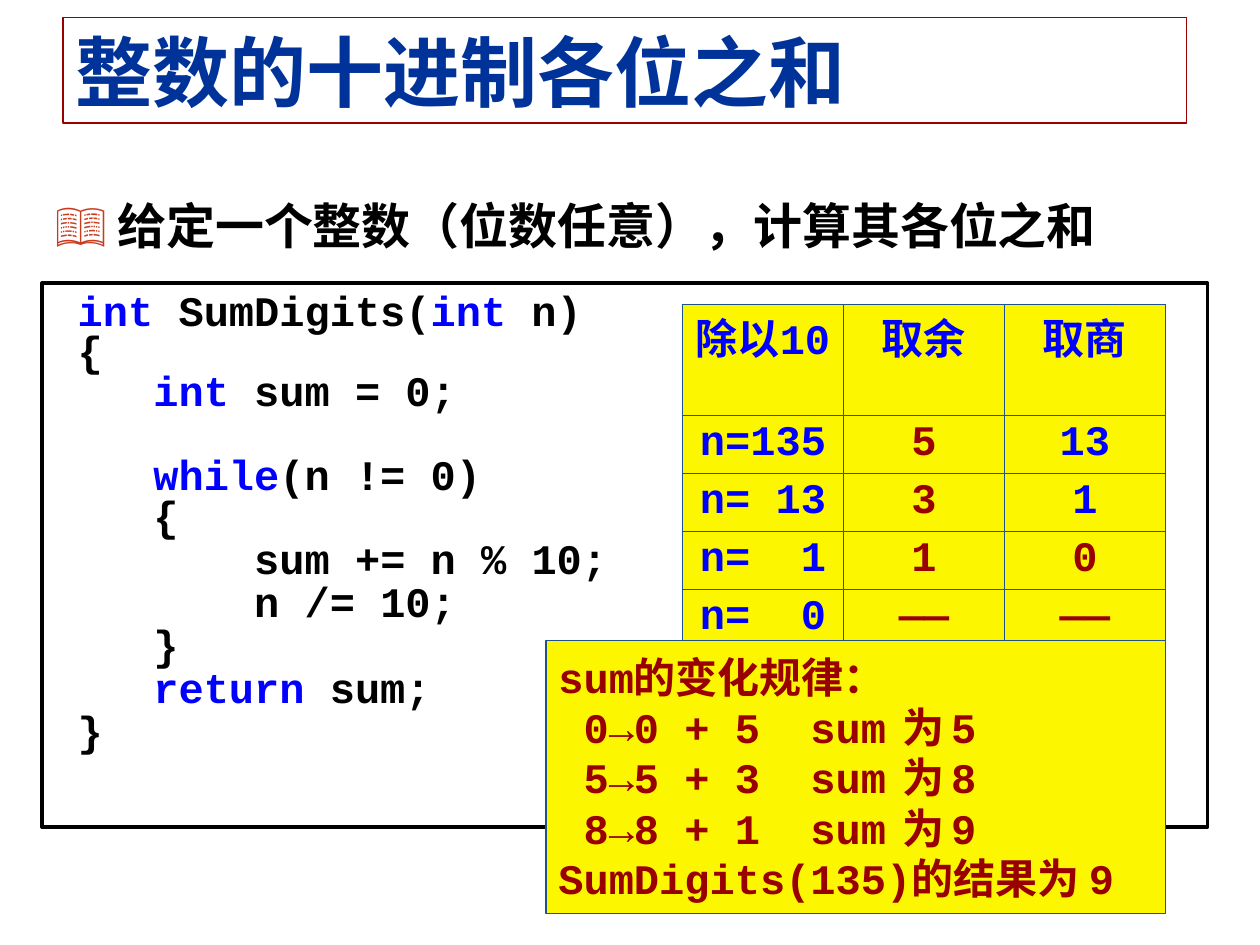
from lxml import etree
from pptx import Presentation
from pptx.dml.color import RGBColor
from pptx.enum import shapes, text
from pptx.oxml import ns
from pptx.util import Pt

NAVY = RGBColor(0x00, 0x33, 0x99)
BLUE = RGBColor(0x00, 0x00, 0xFF)
RED = RGBColor(0x99, 0x00, 0x00)
BLACK = RGBColor(0x00, 0x00, 0x00)
WHITE = RGBColor(0xFF, 0xFF, 0xFF)
GOLD = RGBColor(0xFC, 0xF6, 0x00)
EDGE = RGBColor(0x1D, 0x52, 0x8D)
FONT = "Courier New"

HEAD = "整数的十进制各位之和"
TASK = "给定一个整数（位数任意），计算其各位之和"
CODE = [
    (0, [(" int", BLUE), (" SumDigits(", BLACK), ("int", BLUE), (" n)", BLACK)]),
    (0, [(" {", BLACK)]),
    (0, [("    int", BLUE), (" sum = 0;", BLACK)]),
    (25, [("    while", BLUE), ("(n != 0)", BLACK)]),
    (0, [("    {", BLACK)]),
    (1.5, [("        sum += n % 10;", BLACK)]),
    (1.5, [("        n /= 10;", BLACK)]),
    (1.5, [("    }", BLACK)]),
    (1.5, [("    return", BLUE), (" sum;", BLACK)]),
    (1.5, [(" }", BLACK)]),
]
GRID = [
    ("除以10", "取余", "取商"),
    ("n=135", "5", "13"),
    ("n= 13", "3", "1"),
    ("n=  1", "1", "0"),
    ("n=  0", "——", "——"),
]
REDS = {(1, 1), (2, 1), (3, 1), (3, 2), (4, 1), (4, 2)}
STEPS = [(" 0→0 + 5\tsum", "5"), (" 5→5 + 3\tsum", "8"), (" 8→8 + 1\tsum", "9")]
NOTES = [
    [("sum的变化规律：", 24)],
    *[[(step, 24), (" ", 16), ("为", 24), (" ", 16), (total, 24)]
      for step, total in STEPS],
    [("SumDigits(135)的结果为 9", 24)],
]


def add_run(para, words, size, color):
    run = para.add_run()
    run.text = words
    font = run.font
    font.name, font.size, font.bold = FONT, Pt(size), True
    font.color.rgb = color


def place(shape, left, top, width, height):
    shape.left, shape.top = Pt(left), Pt(top)
    shape.width, shape.height = Pt(width), Pt(height)


def set_pad(frame, left, top, right, bottom):
    frame.margin_left, frame.margin_top = Pt(left), Pt(top)
    frame.margin_right, frame.margin_bottom = Pt(right), Pt(bottom)


def add_box(slide, area, fill, edge, width):
    box = slide.shapes.add_shape(shapes.MSO_SHAPE.RECTANGLE, *map(Pt, area))
    box.shadow.inherit = False
    box.fill.solid()
    box.fill.fore_color.rgb = fill
    box.line.color.rgb = edge
    box.line.width = Pt(width)
    box.text_frame.word_wrap = True
    return box.text_frame


def add_lines(frame, count):
    paras = [frame.paragraphs[0]]
    paras += [frame.add_paragraph() for _ in range(count - 1)]
    for para in paras:
        para.alignment = text.PP_ALIGN.LEFT
    return paras


def add_edge(cell, side, width):
    props = cell._tc.get_or_add_tcPr()
    line = etree.SubElement(props, ns.qn("a:" + side), w=str(Pt(width)))
    fill = etree.SubElement(line, ns.qn("a:solidFill"))
    etree.SubElement(fill, ns.qn("a:srgbClr"), val=str(EDGE))


def add_title(slide):
    title = slide.shapes.title
    place(title, 36, 10, 642, 60.5)
    title.line.color.rgb = RED
    title.line.width = Pt(1)
    frame = title.text_frame
    frame.auto_size = text.MSO_AUTO_SIZE.NONE
    frame.vertical_anchor = text.MSO_ANCHOR.MIDDLE
    para = add_lines(frame, 1)[0]
    add_run(para, HEAD, 44, NAVY)


def add_task(slide):
    body = slide.placeholders[1]
    place(body, 30, 108, 678, 420)
    frame = body.text_frame
    frame.auto_size = text.MSO_AUTO_SIZE.NONE
    set_pad(frame, 1.5, 3.6, 7.2, 3.6)
    para = add_lines(frame, 1)[0]
    props = para._p.get_or_add_pPr()
    props.set("marL", str(Pt(35.5)))
    props.set("indent", str(-Pt(35.5)))
    tint = etree.SubElement(props, ns.qn("a:buClr"))
    etree.SubElement(tint, ns.qn("a:srgbClr"), val="CA3B1E")
    etree.SubElement(props, ns.qn("a:buChar"), char="📖")
    para.space_before = Pt(0)
    add_run(para, TASK, 28, BLACK)


def add_code(slide):
    frame = add_box(slide, (24, 162, 666, 310.5), WHITE, BLACK, 2.25)
    frame.vertical_anchor = text.MSO_ANCHOR.TOP
    set_pad(frame, 6, 6, 6, 6)
    for para, (gap, parts) in zip(add_lines(frame, len(CODE)), CODE):
        para.line_spacing = 0.8
        if gap:
            para.space_before = Pt(gap)
        for words, color in parts:
            add_run(para, words, 24, color)


def add_grid(slide):
    rows, cols = len(GRID), len(GRID[0])
    area = map(Pt, (390, 174, 276, 192))
    table = slide.shapes.add_table(rows, cols, *area).table
    for col in table.columns:
        col.width = Pt(92)
    for i, row in enumerate(table.rows):
        row.height = Pt(33.2 if i else 59)
        for j, cell in enumerate(row.cells):
            outer = {"lnL": j == 0, "lnR": j == cols - 1,
                     "lnT": i == 0, "lnB": i == rows - 1}
            for side, rim in outer.items():
                add_edge(cell, side, 1.08 if rim else 0.45)
            cell.fill.solid()
            cell.fill.fore_color.rgb = GOLD
            para = cell.text_frame.paragraphs[0]
            para.alignment = text.PP_ALIGN.CENTER
            para.line_spacing = 0.9
            add_run(para, GRID[i][j], 24, RED if (i, j) in REDS else BLUE)


def add_notes(slide):
    frame = add_box(slide, (312, 366, 354, 156), GOLD, EDGE, 0.75)
    frame.vertical_anchor = text.MSO_ANCHOR.MIDDLE
    for para, parts in zip(add_lines(frame, len(NOTES)), NOTES):
        for words, size in parts:
            add_run(para, words, size, RED)


def main():
    deck = Presentation()
    deck.slide_width, deck.slide_height = Pt(720), Pt(540)
    slide = deck.slides.add_slide(deck.slide_layouts[1])
    for build in (add_title, add_task, add_code, add_grid, add_notes):
        build(slide)
    deck.save("out.pptx")


if __name__ == "__main__":
    main()
